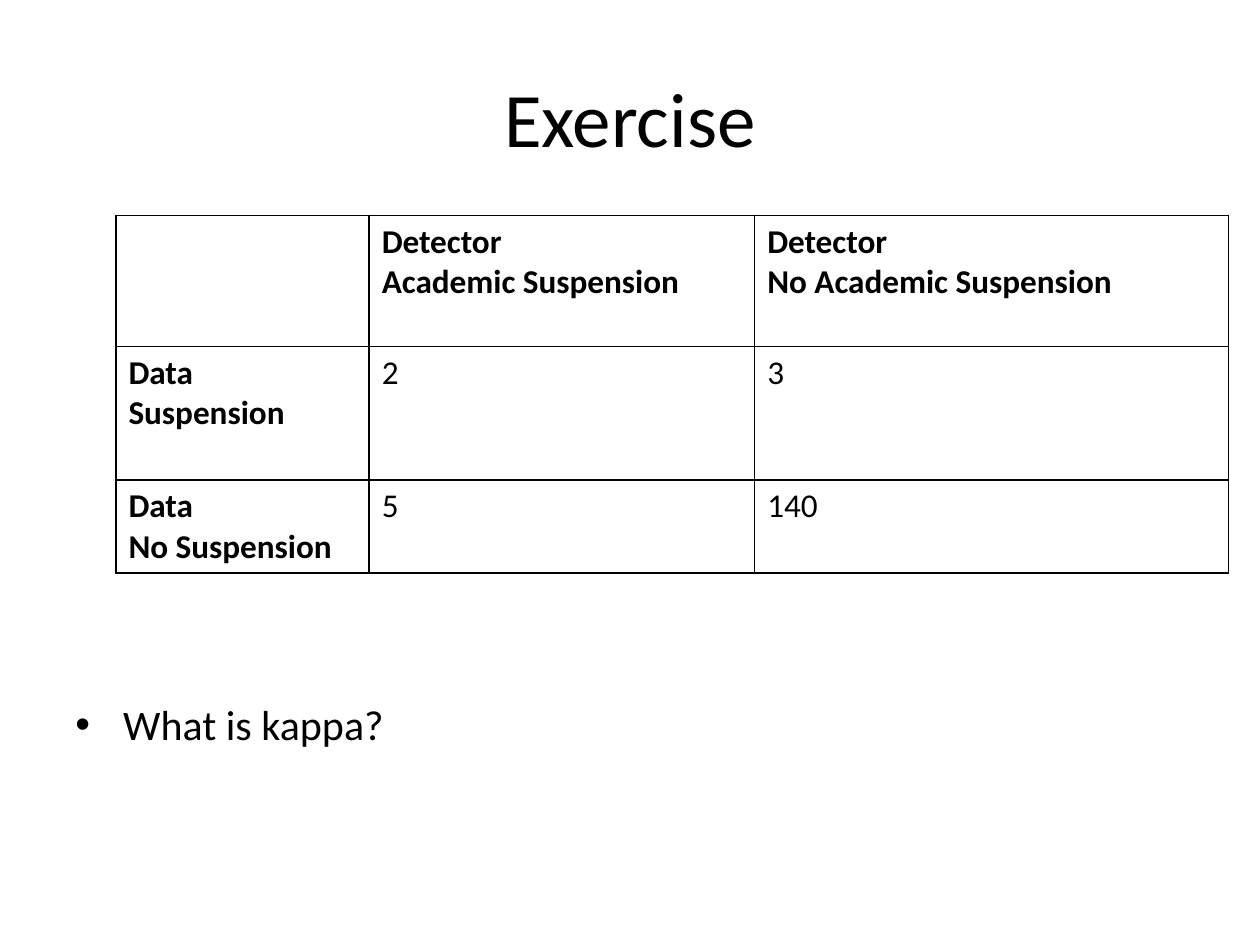
from lxml import etree
from pptx import Presentation
from pptx.dml.color import RGBColor
from pptx.enum.text import MSO_ANCHOR, PP_ALIGN
from pptx.oxml.ns import qn
from pptx.util import Inches, Pt

MID, TOP = MSO_ANCHOR.MIDDLE, MSO_ANCHOR.TOP
CENTER, LEFT = PP_ALIGN.CENTER, PP_ALIGN.LEFT
WIDE, HIGH = 10, 7.5
HUES = {"ink": "000000", "paper": "FFFFFF"}
COLS = [2.01, 3.06, 3.76]
ROWS = [1.04, 1.06, 0.74]
GRID = [
    [[], ["Detector", "Academic Suspension"], ["Detector", "No Academic Suspension"]],
    [["Data", "Suspension"], ["2"], ["3"]],
    [["Data", "No Suspension"], ["5"], ["140"]],
]


def apply(item, form):
    """Set each format value on an object."""
    for name, value in form.items():
        setattr(item, name, value)


def hue(name):
    """Return a named colour."""
    return RGBColor.from_string(HUES[name])


def write(para, lines, size, bold=False):
    """Write lines into one paragraph, parted by line breaks."""
    for row, line in enumerate(lines):
        if row:
            para.add_line_break()
        run = para.add_run()
        run.text = line
        apply(run.font, {"name": "Calibri", "size": Pt(size), "bold": bold})
        run.font.color.rgb = hue("ink")


def add_text(slide, share, text, size, align, form):
    """Add a text box placed by shares of the slide and return its paragraph."""
    left, top, wide, high = share
    box = slide.shapes.add_textbox(
        Inches(left * WIDE), Inches(top * HIGH), Inches(wide * WIDE), Inches(high * HIGH))
    apply(box.text_frame, {"word_wrap": True, **form})
    para = box.text_frame.paragraphs[0]
    para.alignment = align
    write(para, [text], size)
    return para


def add_dot(para, dent):
    """Give a paragraph a round bullet with a hanging indent."""
    props = para._p.get_or_add_pPr()
    props.set("marL", str(Inches(dent)))
    props.set("indent", str(-Inches(dent)))
    etree.SubElement(props, qn("a:buFont"), typeface="Arial")
    etree.SubElement(props, qn("a:buChar"), char="•")


def add_edge(cell):
    """Draw a thin line on all four sides of a cell."""
    props = cell._tc.get_or_add_tcPr()
    for spot, side in enumerate(["lnL", "lnR", "lnT", "lnB"]):
        line = etree.Element(qn("a:" + side), w=str(Pt(1)))
        fill = etree.SubElement(line, qn("a:solidFill"))
        etree.SubElement(fill, qn("a:srgbClr"), val=HUES["ink"])
        props.insert(spot, line)


def add_grid(slide, left, top):
    """Add the table of counts with bold heads."""
    table = slide.shapes.add_table(
        len(ROWS), len(COLS), Inches(left), Inches(top),
        Inches(sum(COLS)), Inches(sum(ROWS))).table
    apply(table, {"first_row": False, "horz_banding": False})
    for col, wide in zip(table.columns, COLS):
        col.width = Inches(wide)
    for row, high in zip(table.rows, ROWS):
        row.height = Inches(high)
    for y, row in enumerate(GRID):
        for x, lines in enumerate(row):
            cell = table.cell(y, x)
            cell.fill.solid()
            cell.fill.fore_color.rgb = hue("paper")
            write(cell.text_frame.paragraphs[0], lines, 19, x == 0 or y == 0)
            add_edge(cell)


def main():
    """Build the slide and save it."""
    deck = Presentation()
    apply(deck, {"slide_width": Inches(WIDE), "slide_height": Inches(HIGH)})
    slide = deck.slides.add_slide(deck.slide_layouts[6])
    add_text(slide, (0.05, 0.04, 0.9, 1 / 6), "Exercise", 44, CENTER,
             {"vertical_anchor": MID})
    ask = add_text(slide, (0.05, 0.23, 0.9, 0.72), "What is kappa?", 24, LEFT,
                   {"vertical_anchor": TOP, "margin_top": Inches(3.82)})
    add_dot(ask, 0.38)
    add_grid(slide, 0.92, 1.71)
    deck.save("out.pptx")


if __name__ == "__main__":
    main()
